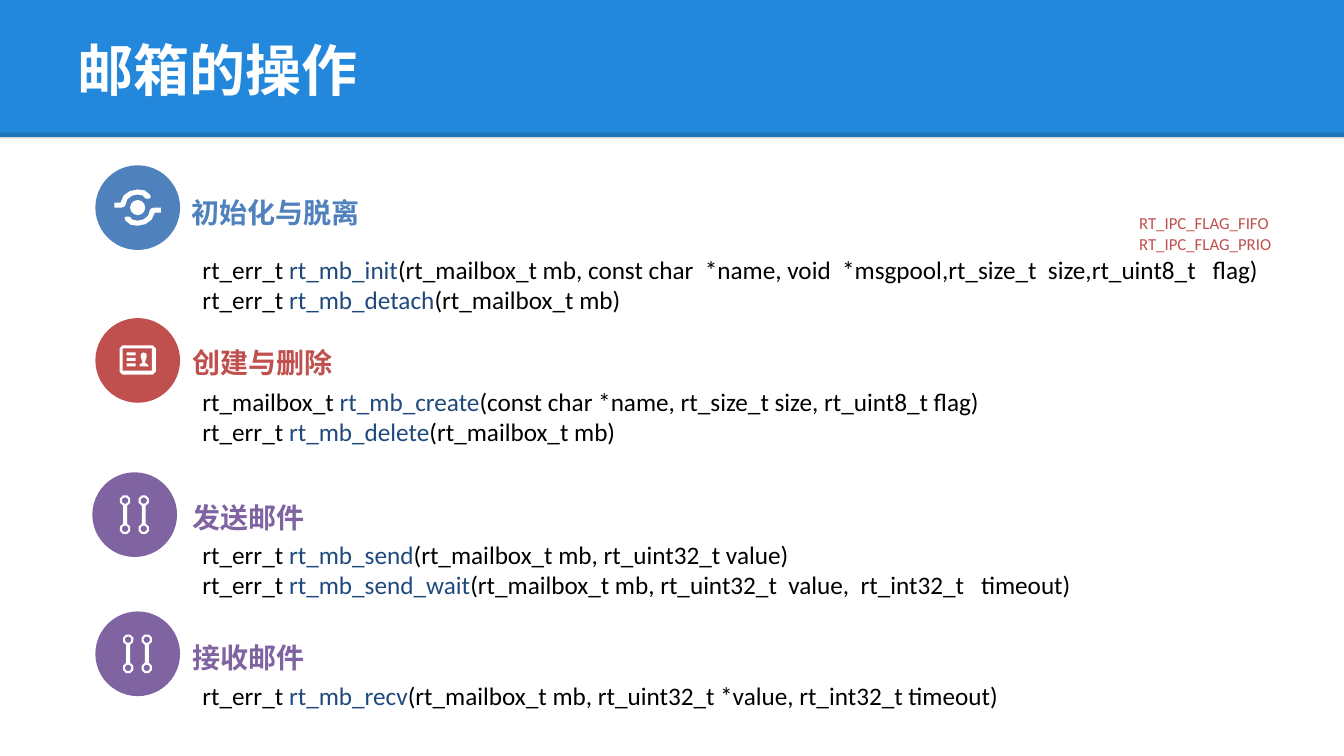
import math
from dataclasses import dataclass

import pptx
import pptx.dml.color
import pptx.enum.shapes
import pptx.enum.text
import pptx.oxml
import pptx.oxml.ns
import pptx.util

COLS, ROWS = 1333, 750
CELL = pptx.util.Inches(0.01)


@dataclass(frozen=True)
class Theme:
    banner: str = "2388DB"
    white: str = "FFFFFF"
    black: str = "000000"
    function: str = "1F497D"
    blue: str = "4F81BD"
    red: str = "C0504D"
    purple: str = "8064A2"
    title_font: str = "Arial"
    body_font: str = "Calibri"
    title_size: int = 40
    heading_size: int = 20
    code_size: int = 18
    flag_size: int = 12


def cells(*values):
    return [round(v * CELL) for v in values]


def rgb(color):
    return pptx.dml.color.RGBColor.from_string(color)


def add_run(p, text, *, size, color, font, bold=False):
    r = p.add_run()
    r.text = text
    r.font.size = pptx.util.Pt(size)
    r.font.color.rgb = rgb(color)
    r.font.name = font
    r.font.bold = bold


def arc(cx, cy, radius, start, end, steps):
    angles = [math.radians(start + (end - start) * i / steps) for i in range(steps + 1)]
    return [(cx + radius * math.cos(a), cy + radius * math.sin(a)) for a in angles]


def circle(cx, cy, radius, steps):
    return arc(cx, cy, radius, 0, 360, steps)[:-1]


def box(x, y, w, h):
    return [(x, y), (x + w, y), (x + w, y + h), (x, y + h)]


def rounded_box(x, y, w, h, radius):
    corners = box(x + radius, y + radius, w - 2 * radius, h - 2 * radius)
    return [pt for i, (cx, cy) in enumerate(corners)
            for pt in arc(cx, cy, radius, 180 + 90 * i, 270 + 90 * i, 1)]


def curve(start, *segments, steps=3):
    points = [start]
    for segment in segments:
        if len(segment) == 2:
            points.append(segment)
            continue
        x0, y0 = points[-1]
        x1, y1, x2, y2, x3, y3 = segment
        for i in range(1, steps + 1):
            t = i / steps
            a, b, c, d = (1 - t) ** 3, 3 * t * (1 - t) ** 2, 3 * t * t * (1 - t), t ** 3
            points.append((a * x0 + b * x1 + c * x2 + d * x3,
                           a * y0 + b * y1 + c * y2 + d * y3))
    return points


def orbit_icon():
    swoosh = curve((-12, -3), (-12, -9, -6, -13, 0, -13), (5, -12), (8, -9), (12, -9),
                   (13, -11), (12, -13), (7, -17), (0, -18),
                   (-8, -18, -16, -13, -17, -5), (-23, -5), (-23, 0), (-16, 0), (-13, -1))
    return [circle(0, 0, 7.5, 12), swoosh, [(-x, -y) for x, y in swoosh]]


def card_icon():
    person = curve((6, -8), (3, -8, 3, -6, 3, -4), (3, -1, 5, 0, 5, 2), (2, 4), (2, 6),
                   (11, 6), (10, 4), (7, 2), (7, 0, 9, -1, 9, -4), (9, -6, 9, -8, 6, -8),
                   steps=2)[:-1]
    bars = [box(-11, y, 9, 3) for y in (-8, -2.5, 3)]
    return [rounded_box(-18, -15, 36, 29, 3), box(-15, -12, 29, 22), *bars, person]


def links_icon():
    contours = []
    for x in (-9.5, 9):
        contours += [arc(x, -14, 5.5, 111, 429, 7) + arc(x, 14, 5.5, -69, 249, 7),
                     circle(x, -14, 3.3, 8), circle(x, 14, 3.3, 8)]
    return contours


class Deck:
    def __init__(self, theme):
        self.theme = theme
        self.prs = pptx.Presentation()
        self.prs.slide_width, self.prs.slide_height = cells(COLS, ROWS)
        self.s = self.prs.slides.add_slide(self.prs.slide_layouts[6])

    def paint(self, sp, color):
        sp.shadow.inherit = False
        sp.fill.solid()
        sp.fill.fore_color.rgb = rgb(color)
        sp.line.fill.background()

    def shape(self, shapes, kind, x, y, w, h, color):
        self.paint(shapes.add_shape(kind, *cells(x, y, w, h)), color)

    def rule(self, y, width, color, opacity):
        cx = self.s.shapes.add_connector(
            pptx.enum.shapes.MSO_CONNECTOR.STRAIGHT, *cells(0, y, COLS, y))
        cx.line.width = pptx.util.Pt(width)
        cx.line.color.rgb = rgb(color)
        qn = pptx.oxml.ns.qn
        fill = cx.line._get_or_add_ln().find(qn("a:solidFill"))[0]
        fill.append(pptx.oxml.parse_xml(
            f'<a:alpha {pptx.oxml.ns.nsdecls("a")} val="{opacity * 1000}"/>'))
        cx._element.spPr.append(pptx.oxml.parse_xml(
            f'<a:effectLst {pptx.oxml.ns.nsdecls("a")}/>'))

    def text(self, x, y, w, h, lines, *, inset=(10, 5), middle=False, wrap=True, **style):
        tf = self.s.shapes.add_textbox(*cells(x, y, w, h)).text_frame
        tf.word_wrap = wrap
        tf.margin_left, tf.margin_top = cells(*inset)
        tf.margin_right, tf.margin_bottom = cells(*inset)
        if middle:
            tf.vertical_anchor = pptx.enum.text.MSO_ANCHOR.MIDDLE
        for i, line in enumerate(lines):
            p = tf.add_paragraph() if i else tf.paragraphs[0]
            for text, color in line:
                add_run(p, text, color=color, **style)

    def badge(self, x, y, color, contours, size=84):
        group = self.s.shapes.add_group_shape()
        self.shape(group.shapes, pptx.enum.shapes.MSO_SHAPE.OVAL, x, y, size, size, color)
        cx, cy = x + size / 2, y + size / 2
        outline = None
        for contour in contours:
            points = [tuple(cells(cx + px, cy + py)) for px, py in contour]
            if outline is None:
                outline = group.shapes.build_freeform(*points[0])
            else:
                outline.move_to(*points[0])
            outline.add_line_segments(points[1:], close=True)
        self.paint(outline.convert_to_shape(), self.theme.white)

    def heading(self, x, y, text, color):
        self.text(x, y, 368, 41, [[(text, color)]], inset=(12, 6), wrap=False,
                  size=self.theme.heading_size, font=self.theme.body_font, bold=True)

    def code(self, y, w, signatures):
        t = self.theme
        lines = [[(kind + " ", t.black), (name, t.function), (arguments, t.black)]
                 for kind, name, arguments in signatures]
        self.text(191, y, w, 10 + 30.5 * len(lines), lines,
                  size=t.code_size, font=t.body_font)


def main():
    t = Theme()
    deck = Deck(t)
    deck.shape(deck.s.shapes, pptx.enum.shapes.MSO_SHAPE.RECTANGLE, 0, 0, COLS, 136, t.banner)
    deck.rule(134.5, 4.5, t.black, 15)
    deck.text(67, 6, 1200, 125, [[("邮箱的操作", t.white)]], middle=True,
              size=t.title_size, font=t.title_font, bold=True)

    sections = [
        ("初始化与脱离", t.blue, orbit_icon(), (94.6, 164), (178, 188), (247.5, 1085), [
            ("rt_err_t", "rt_mb_init", "(rt_mailbox_t mb, const char  *name, void  *msgpool,"
             "rt_size_t  size,rt_uint8_t   flag)"),
            ("rt_err_t", "rt_mb_detach", "(rt_mailbox_t mb)")]),
        ("创建与删除", t.red, card_icon(), (94.6, 315.6), (179, 337), (378, 1013), [
            ("rt_mailbox_t", "rt_mb_create",
             "(const char *name, rt_size_t size, rt_uint8_t flag)"),
            ("rt_err_t", "rt_mb_delete", "(rt_mailbox_t mb)")]),
        ("发送邮件", t.purple, links_icon(), (91.6, 468.6), (179, 491), (530, 1013), [
            ("rt_err_t", "rt_mb_send", "(rt_mailbox_t mb, rt_uint32_t value)"),
            ("rt_err_t", "rt_mb_send_wait",
             "(rt_mailbox_t mb, rt_uint32_t  value,  rt_int32_t   timeout)")]),
        ("接收邮件", t.purple, links_icon(), (94.6, 606.6), (179, 629), (670, 1013), [
            ("rt_err_t", "rt_mb_recv",
             "(rt_mailbox_t mb, rt_uint32_t *value, rt_int32_t timeout)")]),
    ]
    for title, color, icon, badge_at, heading_at, code_at, signatures in sections:
        deck.badge(*badge_at, color, icon)
        deck.heading(*heading_at, title, color)
        deck.code(*code_at, signatures)

    flags = ("RT_IPC_FLAG_FIFO", "RT_IPC_FLAG_PRIO")
    deck.text(1120, 206.5, 157, 50, [[(flag, t.red)] for flag in flags],
              size=t.flag_size, font=t.body_font)
    deck.prs.save("out.pptx")


if __name__ == "__main__":
    main()
